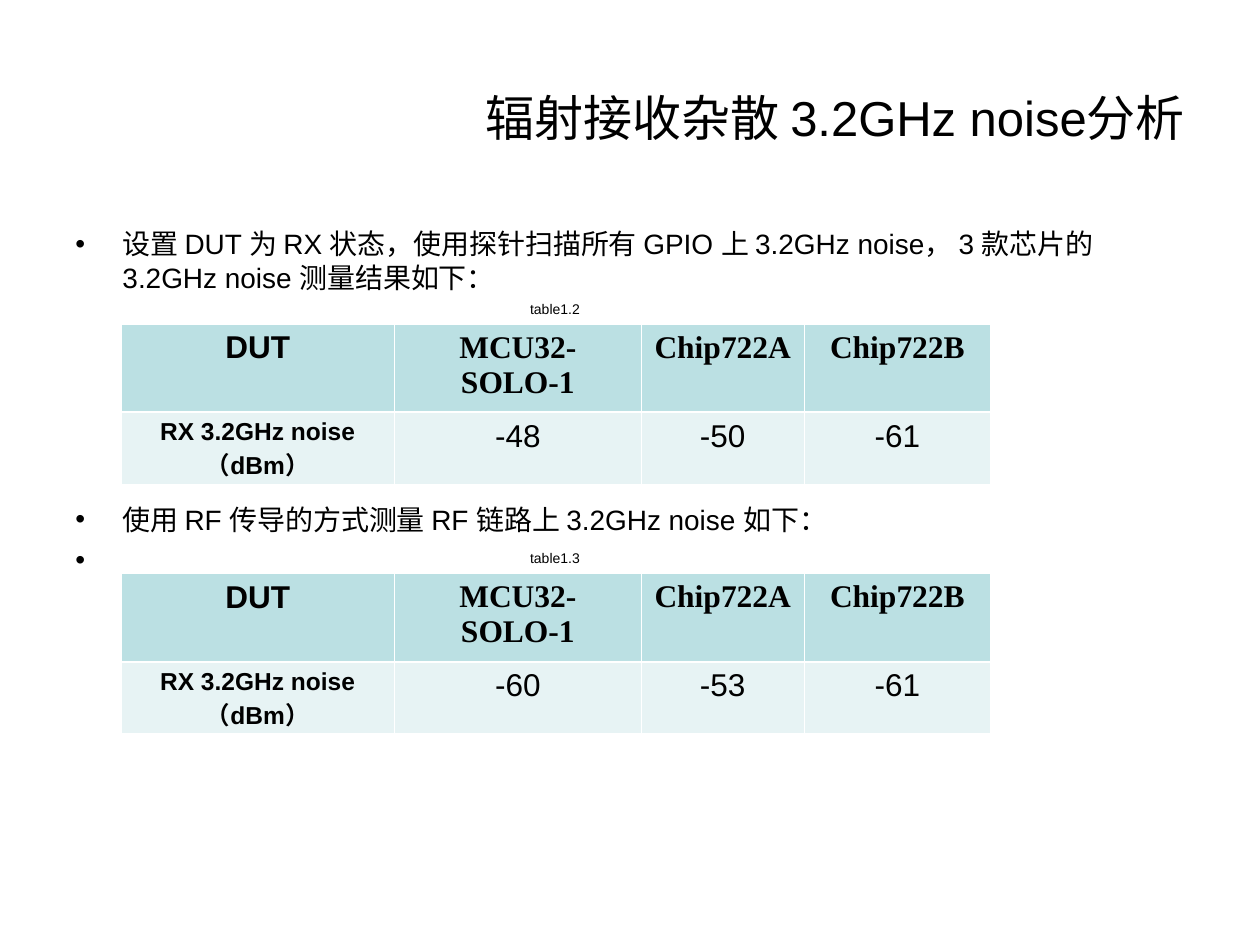
from lxml import etree
from pptx import Presentation
from pptx.dml.color import RGBColor
from pptx.enum.text import MSO_ANCHOR, PP_ALIGN
from pptx.oxml.ns import qn
from pptx.util import Cm, Pt

LEFT, CENTER, RIGHT = PP_ALIGN.LEFT, PP_ALIGN.CENTER, PP_ALIGN.RIGHT
MIDDLE = MSO_ANCHOR.MIDDLE
BLACK, WHITE, HEADER_FILL, BODY_FILL = "000000", "FFFFFF", "BBE0E3", "E7F3F4"


def rgb(value):
    return RGBColor.from_string(value)


def style(p, size, align=LEFT, font="Arial", bold=False):
    p.alignment = align
    for r in p.runs:
        r.font.name = font
        r.font.size = Pt(size)
        r.font.bold = bold
        r.font.color.rgb = rgb(BLACK)


prs = Presentation()
prs.slide_width, prs.slide_height = Cm(25.4), Cm(19.05)
s = prs.slides.add_slide(prs.slide_layouts[6])

# Title
tf = s.shapes.add_textbox(Cm(1.27), Cm(0.76), Cm(22.86), Cm(3.18)).text_frame
tf.word_wrap = True
tf.vertical_anchor = MIDDLE
tf.text = "辐射接收杂散 3.2GHz noise分析"
style(tf.paragraphs[0], 28, RIGHT)

# Bullets, with room for the first table after the first one
bullets = [
    ("设置 DUT 为 RX 状态，使用探针扫描所有 GPIO 上 3.2GHz noise， 3 款芯片的 3.2GHz noise 测量结果如下：", 0),
    ("使用 RF 传导的方式测量 RF 链路上 3.2GHz noise 如下：", 119),
    (" ", 4),
]
tf = s.shapes.add_textbox(Cm(1.27), Cm(4.45), Cm(22.86), Cm(12.57)).text_frame
tf.word_wrap = True
for i, (text, gap) in enumerate(bullets):
    p = tf.add_paragraph() if i else tf.paragraphs[0]
    p.text = text
    pPr = p._p.get_or_add_pPr()
    pPr.set("marL", str(Cm(0.95)))
    pPr.set("indent", str(-Cm(0.95)))
    color = etree.SubElement(pPr, qn("a:buClr"))
    etree.SubElement(color, qn("a:srgbClr"), val=BLACK)
    etree.SubElement(pPr, qn("a:buFont"), typeface="Arial")
    etree.SubElement(pPr, qn("a:buChar"), char="•")
    p.space_before = Pt(gap)
    style(p, 16)

# Captioned noise tables
header = ["DUT", "MCU32-SOLO-1", "Chip722A", "Chip722B"]
col_widths = [5.51, 4.98, 3.28, 3.76]
row_heights = [1.78, 1.45]
tables = [
    ("table1.2", 5.94, 6.53, ["-48", "-50", "-61"]),
    ("table1.3", 10.95, 11.56, ["-60", "-53", "-61"]),
]
for caption, caption_top, table_top, values in tables:
    table = s.shapes.add_table(2, 4, Cm(2.44), Cm(table_top),
                               Cm(sum(col_widths)), Cm(sum(row_heights))).table
    for column, width in zip(table.columns, col_widths):
        column.width = Cm(width)
    for row, height in zip(table.rows, row_heights):
        row.height = Cm(height)

    for i, texts in enumerate([header, ["RX 3.2GHz noise（dBm）"] + values]):
        for j, text in enumerate(texts):
            cell = table.cell(i, j)
            cell.text = text
            style(cell.text_frame.paragraphs[0],
                  14 if i and not j else 18, CENTER,
                  "Times New Roman" if j and not i else "Arial",
                  bold=not (i and j))
            tcPr = cell._tc.get_or_add_tcPr()
            thick_side = "T" if i else "B"
            for side in "LRTB":
                width = Pt(1.47 if side == thick_side else 0.45)
                ln = etree.SubElement(tcPr, qn("a:ln" + side), w=str(width))
                fill = etree.SubElement(ln, qn("a:solidFill"))
                etree.SubElement(fill, qn("a:srgbClr"), val=WHITE)
            cell.fill.solid()
            cell.fill.fore_color.rgb = rgb(BODY_FILL if i else HEADER_FILL)

    tf = s.shapes.add_textbox(Cm(9.83), Cm(caption_top), Cm(2.72), Cm(0.61)).text_frame
    tf.word_wrap = True
    tf.text = caption
    style(tf.paragraphs[0], 8, CENTER)

prs.save("out.pptx")
